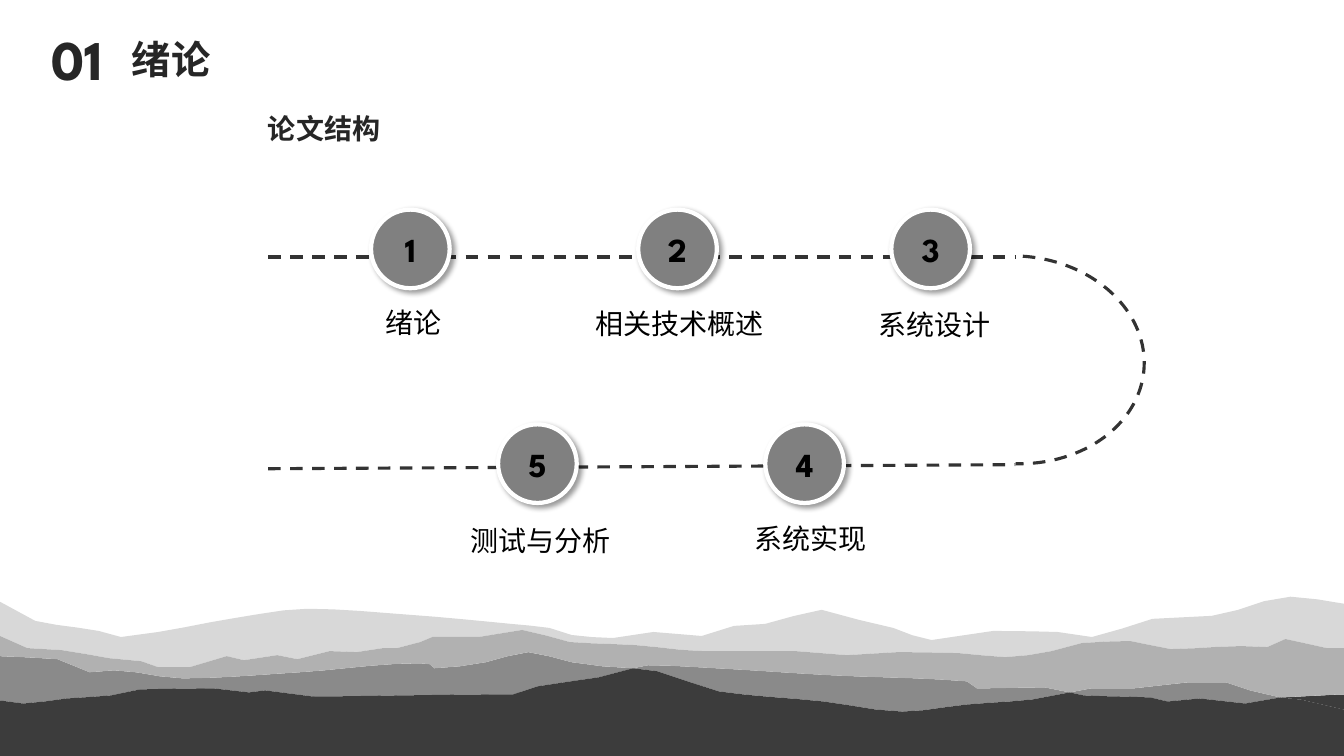
from dataclasses import dataclass

from lxml import etree
from pptx import Presentation
from pptx import util as u
from pptx.dml import color
from pptx.enum import dml, shapes, text
from pptx.oxml import ns


@dataclass(frozen=True)
class Theme:
    heading: str = "262626"
    ink: str = "000000"
    route: str = "333333"
    node: str = "808080"
    rim: str = "FFFFFF"
    far: str = "D8D8D8"
    middle: str = "B1B1B1"
    near: str = "8A8A8A"
    front: str = "3C3C3C"
    latin: str = "League Spartan"
    chinese: str = "Noto Sans CJK SC"
    number_size: int = 40
    title_size: int = 28
    node_size: int = 24
    label_size: int = 20


THEME = Theme()
WIDTH, HEIGHT = 13.33, 7.5
NODE_SIZE = 0.78
LABEL_HEIGHT = 0.44
ROUTE_LEFT, ROUTE_RIGHT = 2.66, 10.07
CURVE_STEP = 0.25

FAR_RIDGE = [
    (0, 5.97), (0.35, 6.16), (0.98, 6.26), (1.2, 6.32), (1.57, 6.27), (2.34, 6.13),
    (3.05, 6.04), (4.07, 6.1), (5.07, 6.19), (5.45, 6.23), (5.67, 6.3),
    (6.08, 6.33), (6.48, 6.27), (6.96, 6.31), (7.28, 6.21), (7.59, 6.19), (8.15, 6.05),
    (8.52, 6.15), (8.86, 6.23), (9.24, 6.35), (9.85, 6.26), (10.49, 6.27), (10.83, 6.32),
    (11.43, 6.14), (12.02, 6.11), (12.8, 5.92), (WIDTH, 5.99),
]
MIDDLE_RIDGE = [
    (0, 6.31), (0.27, 6.43), (0.61, 6.45), (1.08, 6.53), (1.4, 6.56), (1.57, 6.62),
    (1.88, 6.62), (2.25, 6.51), (2.42, 6.55), (2.75, 6.5), (2.95, 6.54),
    (3.27, 6.46), (3.54, 6.47), (3.8, 6.43), (3.94, 6.43), (4.17, 6.37), (4.29, 6.32),
    (4.75, 6.32), (5.18, 6.25), (5.65, 6.37), (6.3, 6.4), (6.98, 6.46), (7.89, 6.46),
    (8.4, 6.5), (8.91, 6.47), (9.51, 6.48), (9.97, 6.52), (10.43, 6.46), (10.73, 6.38),
    (11.21, 6.36), (11.61, 6.44), (12.31, 6.41), (12.57, 6.42), (12.75, 6.34),
    (13.16, 6.43), (WIDTH, 6.43),
]
NEAR_RIDGE = [
    (0, 6.51), (0.57, 6.54), (0.89, 6.67), (1.13, 6.65), (1.81, 6.73), (2.97, 6.67),
    (4.16, 6.58), (4.26, 6.59), (4.31, 6.63), (4.82, 6.57), (5.24, 6.47),
    (5.67, 6.57), (6.28, 6.63), (6.43, 6.6), (7.1, 6.63), (8.25, 6.7), (9.59, 6.76),
    (9.69, 6.83), (10.36, 6.82), (10.61, 6.87), (10.82, 6.83), (11.24, 6.83),
    (11.78, 6.77), (12.16, 6.77), (12.4, 6.85), (12.7, 6.92), (13.29, 6.89), (WIDTH, 6.89),
]
FRONT_RIDGE = [
    (0, 6.95), (0.23, 6.98), (0.66, 6.93), (1.1, 6.9), (1.39, 6.84), (2.12, 6.83),
    (2.47, 6.87), (2.63, 6.85), (3.1, 6.91), (3.95, 6.9), (4.87, 6.89),
    (5.09, 6.89), (5.33, 6.81), (5.94, 6.72), (6.28, 6.63), (6.52, 6.66), (7.13, 6.86),
    (8.17, 6.96), (8.95, 7.06), (9.59, 6.99), (10.24, 6.94), (10.61, 6.87), (10.75, 6.9),
    (11.41, 6.92), (11.58, 6.96), (11.9, 6.93), (12.35, 6.98), (12.7, 6.92), (WIDTH, 7.04),
]
GROUND = [(0, HEIGHT), (WIDTH, HEIGHT)]


def rgb(value):
    return color.RGBColor.from_string(value)


def apply_format(target, values):
    for name, value in values.items():
        setattr(target, name, value)


def box(left, top, width, height):
    return [u.Inches(value) for value in (left, top, width, height)]


def smooth(ridge):
    grades = [(y1 - y0) / (x1 - x0) for (x0, y0), (x1, y1) in zip(ridge, ridge[1:])]
    bends = [2 * a * b / (a + b) if a * b > 0 else 0 for a, b in zip(grades, grades[1:])]
    slopes = [grades[0], *bends, grades[-1]]
    curve = []
    for (x0, y0), (x1, y1), s0, s1 in zip(ridge, ridge[1:], slopes, slopes[1:]):
        run = x1 - x0
        steps = 1 if y0 == y1 else max(1, round(run / CURVE_STEP))
        for step in range(steps):
            t = step / steps
            rise = t * t * (3 - 2 * t)
            bend = run * t * (1 - t) * (s0 * (1 - t) - s1 * t)
            curve.append((x0 + run * t, y0 + (y1 - y0) * rise + bend))
    return curve + [ridge[-1]]


def add_mountain(slide, crest, foot, fill, start=0, end=WIDTH):
    upper, lower = ([p for p in smooth(ridge) if start <= p[0] <= end] for ridge in (crest, foot))
    outline = [(u.Inches(x), u.Inches(y)) for x, y in upper + lower[::-1]]
    builder = slide.shapes.build_freeform(*outline[0])
    builder.add_line_segments(outline[1:])
    mountain = builder.convert_to_shape()
    mountain.shadow.inherit = False
    mountain.fill.solid()
    mountain.fill.fore_color.rgb = rgb(fill)
    mountain.line.fill.background()


def write(frame, words, size, ink, font, bold=False, **paragraph_format):
    paragraph = frame.paragraphs[0]
    apply_format(paragraph, paragraph_format)
    run = paragraph.add_run()
    run.text = words
    apply_format(run.font, {"size": u.Pt(size), "bold": bold, "name": font})
    run.font.color.rgb = rgb(ink)
    east_asian = etree.SubElement(run._r.get_or_add_rPr(), ns.qn("a:ea"))
    east_asian.set("typeface", THEME.chinese)


def add_heading(slide, words, place, size, anchor=text.MSO_ANCHOR.MIDDLE):
    frame = slide.shapes.add_textbox(*box(*place)).text_frame
    apply_format(frame, {"word_wrap": True, "vertical_anchor": anchor})
    write(frame, words, size, THEME.heading, THEME.latin, True, line_spacing=0.9)


def style_route(route):
    apply_format(route.line, {"width": u.Pt(2.25), "dash_style": dml.MSO_LINE.DASH})
    route.line.color.rgb = rgb(THEME.route)


def add_route(slide, start_y, end_y):
    ends = box(ROUTE_LEFT, start_y, ROUTE_RIGHT, end_y)
    route = slide.shapes.add_connector(shapes.MSO_CONNECTOR.STRAIGHT, *ends)
    style_route(route)
    etree.SubElement(route._element.spPr, ns.qn("a:effectLst"))


def add_turn(slide):
    turn = slide.shapes.add_shape(shapes.MSO_SHAPE.ARC, *box(8.8, 2.54, 2.55, 2.06))
    turn.adjustments[0], turn.adjustments[1] = 162, 51.718
    turn.rotation = 3.9
    turn.shadow.inherit = False
    turn.fill.background()
    style_route(turn)


def add_drop_shadow(node):
    node.shadow.inherit = False
    effects = node._element.spPr.find(ns.qn("a:effectLst"))
    drop = etree.SubElement(effects, ns.qn("a:outerShdw"))
    settings = {"blurRad": u.Pt(4), "dist": u.Pt(3), "dir": 45 * 60000, "algn": "tl", "rotWithShape": 0}
    for name, value in settings.items():
        drop.set(name, str(int(value)) if name != "algn" else value)
    tint = etree.SubElement(drop, ns.qn("a:srgbClr"), val=THEME.ink)
    etree.SubElement(tint, ns.qn("a:alpha"), val="40000")


def add_chapter(slide, number, title, node_left, node_top, label_left, label_top, label_width=2.46):
    node = slide.shapes.add_shape(
        shapes.MSO_SHAPE.OVAL, *box(node_left, node_top, NODE_SIZE, NODE_SIZE))
    node.fill.solid()
    node.fill.fore_color.rgb = rgb(THEME.node)
    node.line.color.rgb = rgb(THEME.rim)
    node.line.width = u.Pt(3)
    add_drop_shadow(node)
    node.text_frame.vertical_anchor = text.MSO_ANCHOR.MIDDLE
    centred = {"alignment": text.PP_ALIGN.CENTER}
    write(node.text_frame, number, THEME.node_size, THEME.ink, THEME.latin, True, **centred)
    label = slide.shapes.add_textbox(*box(label_left, label_top, label_width, LABEL_HEIGHT)).text_frame
    apply_format(label, {"word_wrap": True, "auto_size": text.MSO_AUTO_SIZE.SHAPE_TO_FIT_TEXT})
    write(label, title, THEME.label_size, THEME.ink, THEME.chinese, **centred)


def main():
    deck = Presentation()
    apply_format(deck, {"slide_width": u.Inches(WIDTH), "slide_height": u.Inches(HEIGHT)})
    slide = deck.slides.add_slide(deck.slide_layouts[6])

    add_mountain(slide, FAR_RIDGE, MIDDLE_RIDGE, THEME.far)
    for start, end in ((0, 6.28), (6.28, 10.61), (10.61, 12.7)):
        add_mountain(slide, NEAR_RIDGE, FRONT_RIDGE, THEME.near, start, end)
    add_mountain(slide, NEAR_RIDGE, FRONT_RIDGE, THEME.front, 12.7)
    add_mountain(slide, MIDDLE_RIDGE, NEAR_RIDGE, THEME.middle)
    add_mountain(slide, FRONT_RIDGE, GROUND, THEME.front)

    add_heading(slide, "01", (0.41, 0.27, 0.88, 0.64), THEME.number_size, text.MSO_ANCHOR.TOP)
    add_heading(slide, "绪论", (1.21, 0.43, 2.04, 0.37), THEME.title_size)
    add_heading(slide, "论文结构", (2.56, 1.11, 2.04, 0.37), THEME.label_size)

    add_turn(slide)
    add_route(slide, 2.55, 2.55)
    add_route(slide, 4.65, 4.61)
    for chapter in (
        ("1", "绪论", 3.68, 2.08, 2.87, 2.98),
        ("2", "相关技术概述", 6.33, 2.08, 5.51, 2.99),
        ("3", "系统设计", 8.84, 2.08, 8.04, 3),
        ("5", "测试与分析", 4.94, 4.21, 4.13, 5.14),
        ("4", "系统实现", 7.59, 4.21, 6.96, 5.12, 2.15),
    ):
        add_chapter(slide, *chapter)
    deck.save("out.pptx")


if __name__ == "__main__":
    main()
